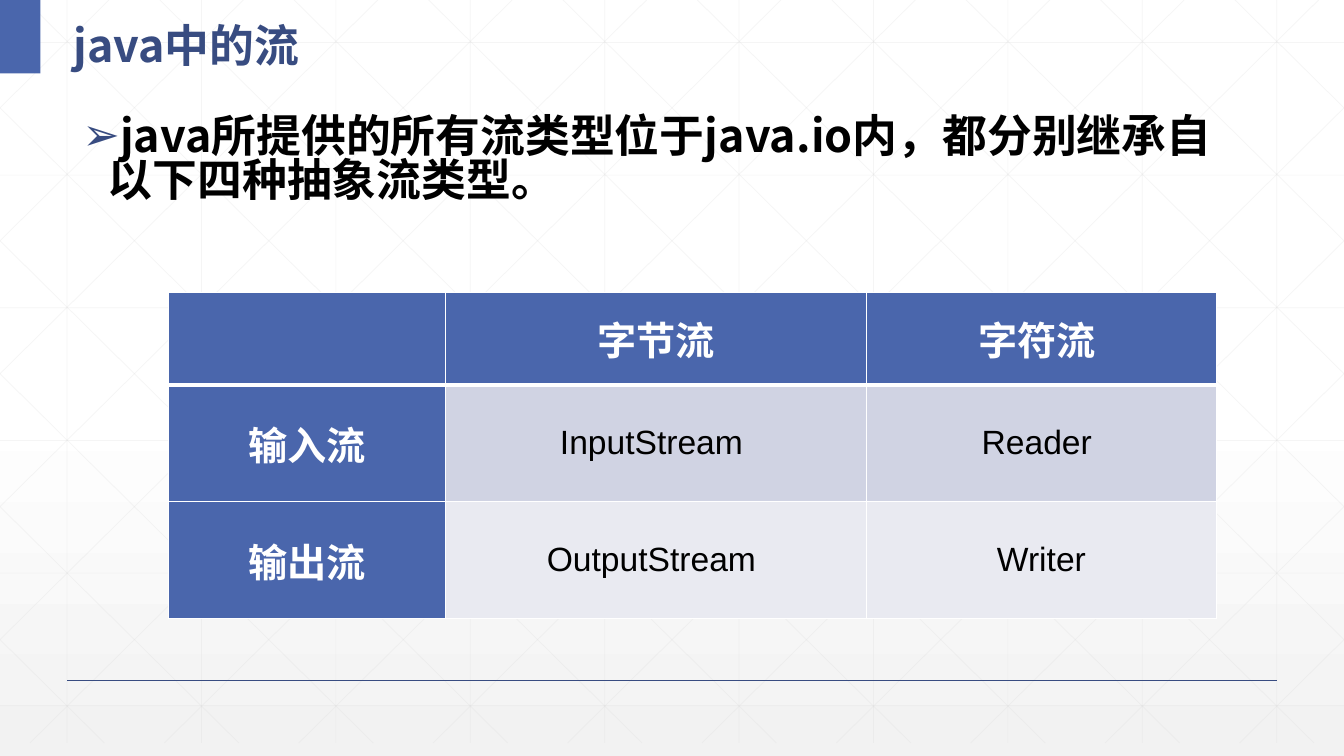
import pptx
import pptx.dml.color
import pptx.enum.shapes
import pptx.enum.text
import pptx.oxml
import pptx.oxml.ns
import pptx.util
from lxml import etree

Cm, Pt = pptx.util.Cm, pptx.util.Pt
qn = pptx.oxml.ns.qn
ALIGN = pptx.enum.text.PP_ALIGN
ANCHOR = pptx.enum.text.MSO_ANCHOR
SHAPES = pptx.enum.shapes

# Content
TITLE = "java中的流"
BODY = "java所提供的所有流类型位于java.io内，都分别继承自以下四种抽象流类型。"
TABLE = [
    ["", "字节流", "字符流 "],
    ["输入流", "InputStream ", "Reader "],
    ["输出流", "OutputStream ", "Writer"],
]

# Style and measures (cm)
BLUE, NAVY, WHITE, BLACK, GREY = "4A66AC", "384C81", "FFFFFF", "000000", "D9D9D9"
BANDS = ["D0D3E3", "E9EAF1"]
BG_STOPS = [(0, WHITE, 100), (53, WHITE, 100), (100, "F2F2F2", 65)]
CJK, LATIN = "Noto Sans CJK SC", "Arial"
WIDTH, HEIGHT = 33.87, 19.05
GRID_BOTTOM, GRID_STEP, ROW_STEP = 18.72, 3.387, 3.343
DIAGONAL_RUN = 1.011
COL_WIDTHS = [6.99, 10.61, 8.81]
ROW_HEIGHTS = [2.33, 2.94, 2.94]


def rgb(value):
    return pptx.dml.color.RGBColor.from_string(value)


def sub(parent, tag, **attrs):
    return etree.SubElement(parent, qn(tag), attrs)


def add_line(s, x1, y1, x2, y2, color, width, alpha=None):
    c = s.shapes.add_connector(SHAPES.MSO_CONNECTOR.STRAIGHT,
                               Cm(x1), Cm(y1), Cm(x2), Cm(y2))
    c.line.width = Pt(width)
    c.line.color.rgb = rgb(color)
    sp_pr = c._element.spPr
    if alpha:
        sub(sp_pr.find(".//" + qn("a:srgbClr")), "a:alpha", val=str(alpha * 1000))
    sub(sp_pr, "a:effectLst")


def style_run(r, size, color, bold, font):
    r.font.size, r.font.bold, r.font.name = Pt(size), bold, font
    r.font.color.rgb = rgb(color)
    sub(r._r.get_or_add_rPr(), "a:ea", typeface=CJK)


def add_text(s, box, text, color, anchor, spacing):
    tf = s.shapes.add_textbox(*map(Cm, box)).text_frame
    tf.word_wrap = True
    tf.vertical_anchor = anchor
    p = tf.paragraphs[0]
    p.text = text
    p.line_spacing = spacing
    style_run(p.runs[0], 32, color, True, CJK)
    return p


def set_borders(cell, bottom):
    tc_pr = cell._tc.get_or_add_tcPr()
    widths = {"a:lnL": 1, "a:lnR": 1, "a:lnT": 1, "a:lnB": bottom}
    for i, (tag, width) in enumerate(widths.items()):
        ln = pptx.oxml.parse_xml(
            '<a:ln xmlns:a="http://schemas.openxmlformats.org/drawingml/2006/main"/>')
        ln.tag = qn(tag)
        ln.set("w", str(Pt(width)))
        sub(sub(ln, "a:solidFill"), "a:srgbClr", val=WHITE)
        tc_pr.insert(i, ln)


def add_background(s):
    fill = s.background.fill
    fill.gradient()
    fill.gradient_angle = 270
    stops = s.background._cSld.find(".//" + qn("a:gsLst"))
    for stop in list(stops):
        stops.remove(stop)
    for pos, color, alpha in BG_STOPS:
        clr = sub(sub(stops, "a:gs", pos=str(pos * 1000)), "a:srgbClr", val=color)
        if alpha < 100:
            sub(clr, "a:alpha", val=str(alpha * 1000))


def add_grid(s):
    lines = []
    for i in range(10):
        x = 1.69 + i * GRID_STEP
        lines.append((x, 0, x, GRID_BOTTOM))
    for i in range(6):
        y = 1.07 + i * ROW_STEP
        lines.append((0, y, WIDTH, y))
    # Diagonals, clipped at the slide edges, and their mirror images
    for i in range(-5, 10):
        x = 0.64 + i * GRID_STEP
        y1 = max(0, -x / DIAGONAL_RUN)
        y2 = min(GRID_BOTTOM, (WIDTH - x) / DIAGONAL_RUN)
        x1, x2 = x + y1 * DIAGONAL_RUN, x + y2 * DIAGONAL_RUN
        lines.append((x1, y1, x2, y2))
        lines.append((WIDTH - x1, y1, WIDTH - x2, y2))
    for line in lines:
        add_line(s, *line, GREY, 0.5, 25)


def add_stream_table(s):
    frame = s.shapes.add_table(3, 3, Cm(4.24), Cm(7.37),
                               Cm(sum(COL_WIDTHS)), Cm(sum(ROW_HEIGHTS)))
    table = frame.table
    for col, width in zip(table.columns, COL_WIDTHS):
        col.width = Cm(width)
    for i, row in enumerate(TABLE):
        table.rows[i].height = Cm(ROW_HEIGHTS[i])
        for j, text in enumerate(row):
            cell = table.cell(i, j)
            heading = i == 0 or j == 0
            cell.fill.solid()
            cell.fill.fore_color.rgb = rgb(BLUE if heading else BANDS[i - 1])
            cell.vertical_anchor = ANCHOR.MIDDLE
            set_borders(cell, 3 if i == 0 else 1)
            p = cell.text_frame.paragraphs[0]
            p.text = text
            p.alignment = ALIGN.CENTER
            for r in p.runs:
                style_run(r, 28 if heading else 24,
                          WHITE if heading else BLACK, heading, LATIN)


def main():
    prs = pptx.Presentation()
    prs.slide_width, prs.slide_height = Cm(WIDTH), Cm(HEIGHT)
    s = prs.slides.add_slide(prs.slide_layouts[6])

    # Backdrop, footer rule and corner block
    add_background(s)
    add_grid(s)
    add_line(s, 1.69, 17.14, 32.18, 17.14, NAVY, 1)
    sp = s.shapes.add_shape(SHAPES.MSO_SHAPE.RECTANGLE, 0, 0, Cm(1.02), Cm(1.85))
    sp.shadow.inherit = False
    sp.fill.solid()
    sp.fill.fore_color.rgb = rgb(BLUE)
    sp.line.fill.background()

    # Title and bulleted statement
    add_text(s, (1.6, 0, 14.45, 1.85), TITLE, NAVY, ANCHOR.MIDDLE, 1.3)
    p = add_text(s, (1.83, 2.84, 29.82, 14.02), BODY, BLACK, ANCHOR.TOP, 0.82)
    p.space_before = Pt(18)
    p_pr = p._p.get_or_add_pPr()
    p_pr.set("marL", str(Cm(0.64)))
    p_pr.set("indent", str(-Cm(0.64)))
    sub(sub(p_pr, "a:buClr"), "a:srgbClr", val=NAVY)
    sub(p_pr, "a:buFont", typeface=LATIN)
    sub(p_pr, "a:buChar", char="➢")

    add_stream_table(s)
    prs.save("out.pptx")


if __name__ == "__main__":
    main()
